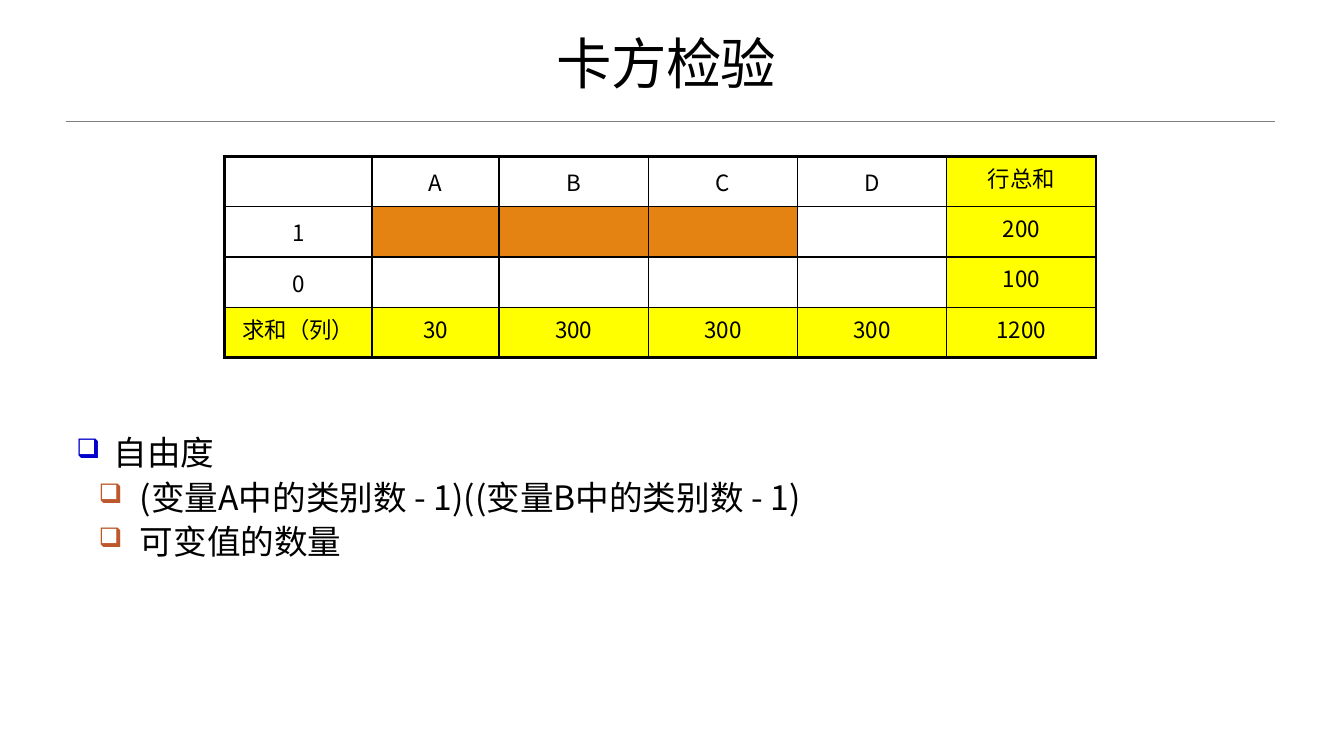
from pptx import Presentation
from pptx.dml.color import RGBColor
from pptx.enum.shapes import MSO_CONNECTOR as Conn
from pptx.enum.text import MSO_ANCHOR as Anchor, PP_ALIGN as Align
from pptx.oxml.ns import qn
from pptx.util import Inches, Pt
from lxml.etree import SubElement as Sub

YELLOW, ORANGE, WHITE = "FFFF00", "E48312", "FFFFFF"


def rgb(code):
    return RGBColor.from_string(code)


class Deck:
    face = "Noto Sans CJK SC"
    ink = "000000"

    def __init__(self, wide, high):
        self.prs = Presentation()
        self.prs.slide_width, self.prs.slide_height = Inches(wide), Inches(high)
        self.slide = self.prs.slides.add_slide(self.prs.slide_layouts[6])

    def style(self, para, size, align=None, track=None):
        font = para.font
        font.size, font.name = Pt(size), self.face
        font.color.rgb = rgb(self.ink)
        if align is not None:
            para.alignment = align
        props = para._p.pPr.find(qn("a:defRPr"))
        Sub(props, qn("a:ea"), typeface=self.face)
        if track:
            props.set("spc", str(track))

    def rule(self, x1, x2, y, color, width):
        line = self.slide.shapes.add_connector(
            Conn.STRAIGHT, Inches(x1), Inches(y), Inches(x2), Inches(y))
        line.line.color.rgb, line.line.width = rgb(color), Pt(width)
        Sub(line._element.spPr, qn("a:effectLst"))

    def box(self, x, y, w, h, anchor=Anchor.TOP):
        area = [Inches(v) for v in (x, y, w, h)]
        frame = self.slide.shapes.add_textbox(*area).text_frame
        frame.word_wrap, frame.vertical_anchor = True, anchor
        return frame

    def title(self, text, *area):
        para = self.box(*area, anchor=Anchor.BOTTOM).paragraphs[0]
        para.text, para.line_spacing = text, 0.85
        self.style(para, 39.6, Align.CENTER, track=-50)

    def bullets(self, items, *area):
        frame = self.box(*area)
        for i, (level, text) in enumerate(items):
            para = frame.add_paragraph() if i else frame.paragraphs[0]
            para.text, para.level, para.line_spacing = text, level, 1.0
            if i:
                para.space_before = Pt(3)
            left, hang, color = [(0.37, 0.37, "0000CC"), (0.63, 0.41, "BD582C")][level]
            props = para._p.get_or_add_pPr()
            props.set("marL", str(Inches(left)))
            props.set("indent", str(-Inches(hang)))
            Sub(Sub(props, qn("a:buClr")), qn("a:srgbClr"), val=color)
            Sub(props, qn("a:buSzPct"), val="80000")
            Sub(props, qn("a:buChar"), char="❑")
            self.style(para, 24)

    def edge(self, cell, side, width):
        line = Sub(cell._tc.get_or_add_tcPr(), qn("a:ln" + side), w=str(Pt(width)))
        Sub(Sub(line, qn("a:solidFill")), qn("a:srgbClr"), val=self.ink)

    def table(self, rows, x, y, cols, high):
        last, end = len(rows) - 1, len(cols) - 1
        grid = self.slide.shapes.add_table(
            len(rows), len(cols), Inches(x), Inches(y),
            Inches(sum(cols)), Inches(high * len(rows))).table
        grid.first_row = grid.horz_banding = False
        for col, wide in zip(grid.columns, cols):
            col.width = Inches(wide)
        for r, row in enumerate(rows):
            grid.rows[r].height = Inches(high)
            for c, text in enumerate(row):
                cell = grid.cell(r, c)
                total = r == last or c == end
                # Thick outer frame, thin inner lines
                outer = {"L": c == 0, "R": c == end, "T": r == 0, "B": r == last}
                for side, thick in outer.items():
                    self.edge(cell, side, 2.25 if thick else 1)
                free = r == 1 and 1 <= c <= 3
                cell.fill.solid()
                cell.fill.fore_color.rgb = rgb(
                    YELLOW if total else ORANGE if free else WHITE)
                cell.vertical_anchor = Anchor.TOP if total else Anchor.MIDDLE
                para = cell.text_frame.paragraphs[0]
                para.text = text
                self.style(para, 16, Align.CENTER)


def main():
    deck = Deck(13.33, 7.5)
    # Heading
    deck.rule(0.65, 12.65, 1.2, "808080", 0.5)
    deck.title("卡方检验", 0.22, 0.33, 12.78, 0.67)
    # Contingency table
    deck.table([
        ["", "A", "B", "C", "D", "行总和"],
        ["1", "", "", "", "", "200"],
        ["0", "", "", "", "", "100"],
        ["求和（列）", "30", "300", "300", "300", "1200"],
    ], 2.23, 1.55, [1.46, 1.26] + [1.48] * 4, 0.5)
    # Degrees of freedom
    deck.bullets([
        (0, "自由度"),
        (1, "(变量A中的类别数 - 1)((变量B中的类别数 - 1)"),
        (1, "可变值的数量"),
    ], 0.66, 4.24, 10.2, 1.53)
    deck.prs.save("out.pptx")


if __name__ == "__main__":
    main()
